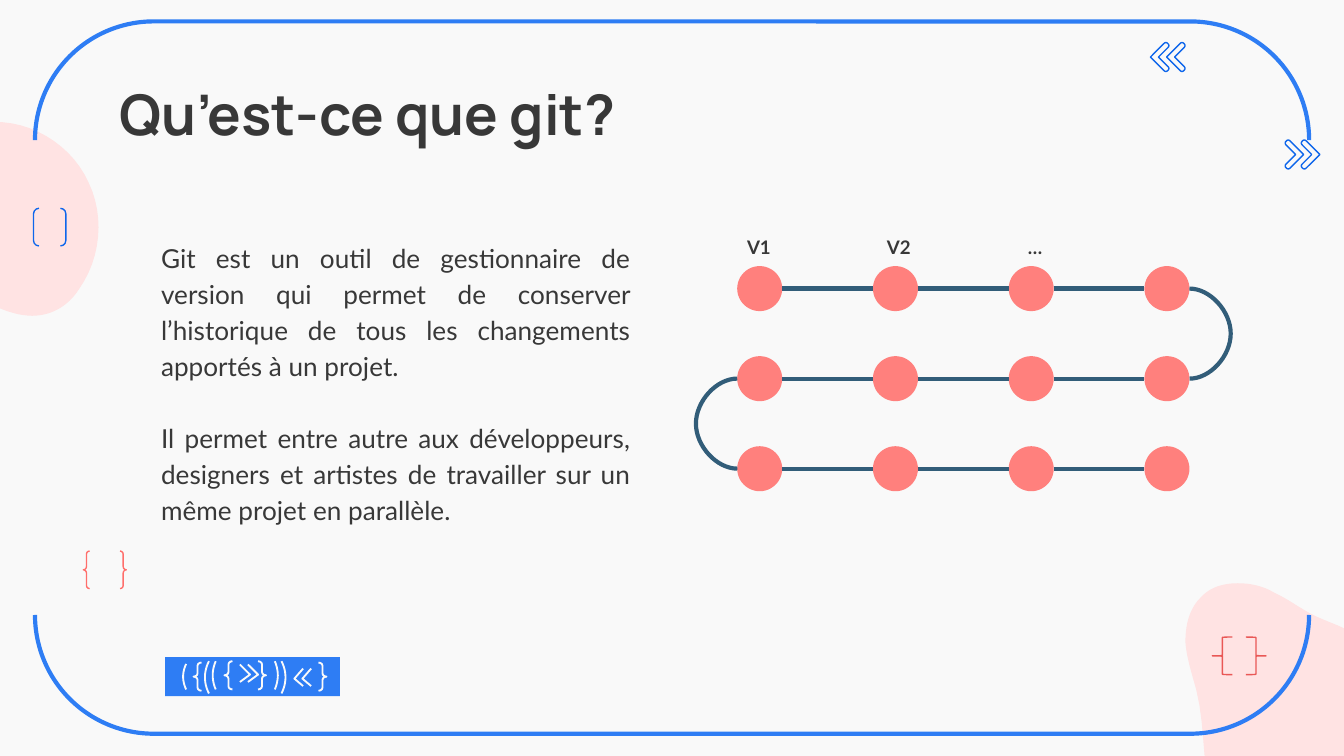
import pptx
import pptx.util
import pptx.dml.color
import pptx.enum.shapes
import pptx.enum.text
import pptx.oxml

Inches = pptx.util.Inches
Pt = pptx.util.Pt
RGBColor = pptx.dml.color.RGBColor
SHAPE = pptx.enum.shapes.MSO_SHAPE
CONNECTOR = pptx.enum.shapes.MSO_CONNECTOR

PAPER = RGBColor(0xF9, 0xF9, 0xF9)
PINK = RGBColor(0xFF, 0xE3, 0xE3)
BLUE = RGBColor(0x2E, 0x7D, 0xF4)
DEEP_BLUE = RGBColor(0x0E, 0x66, 0xEB)
RED = RGBColor(0xE9, 0x58, 0x56)
CORAL = RGBColor(0xFF, 0x6E, 0x6B)
SALMON = RGBColor(0xFF, 0x80, 0x7D)
TEAL = RGBColor(0x32, 0x5D, 0x79)
INK = RGBColor(0x38, 0x38, 0x38)

presentation = pptx.Presentation()
presentation.slide_width = Inches(10)
presentation.slide_height = Inches(5.625)
slide = presentation.slides.add_slide(presentation.slide_layouts[6])
slide.background.fill.solid()
slide.background.fill.fore_color.rgb = PAPER


def style(shape, fill=None, line=None, width=0.75):
    shape.shadow.inherit = False
    if fill is None:
        shape.fill.background()
    else:
        shape.fill.solid()
        shape.fill.fore_color.rgb = fill
    if line is None:
        shape.line.fill.background()
    else:
        shape.line.color.rgb = line
        shape.line.width = Pt(width)


def add_outline(start, curves, closed=True):
    """Trace straight steps (one point) and cubic curves (three points)."""
    builder = slide.shapes.build_freeform(Inches(start[0]), Inches(start[1]))
    points = []
    here = start
    for curve in curves:
        if len(curve) == 2:
            points.append(curve)
        else:
            corners = [here, curve[0:2], curve[2:4], curve[4:6]]
            for step in range(1, 13):
                t = step / 12
                weights = [(1 - t) ** 3, 3 * t * (1 - t) ** 2, 3 * t * t * (1 - t), t ** 3]
                points.append([sum(w * c[axis] for w, c in zip(weights, corners)) for axis in (0, 1)])
        here = curve[-2:]
    builder.add_line_segments([(Inches(x), Inches(y)) for x, y in points], close=closed)
    return builder.convert_to_shape()


# Pink blobs
left_blob = [
    (-0.07, 0.91, -0.11, 0.91, -0.16, 0.92), (-0.44, 0.98, -0.72, 1.2, -0.74, 1.49),
    (-0.76, 1.8, -0.4, 2.06, -0.17, 2.21), (-0.03, 2.29, 0.11, 2.35, 0.24, 2.35),
    (0.37, 2.35, 0.5, 2.29, 0.59, 2.15), (0.75, 1.92, 0.78, 1.61, 0.66, 1.36),
    (0.55, 1.11, 0.29, 0.93, 0.02, 0.91)]
right_blob = [
    (9.1, 4.34, 9, 4.37, 8.93, 4.45), (8.84, 4.54, 8.82, 4.67, 8.82, 4.78),
    (8.83, 4.9, 8.87, 5.02, 8.9, 5.13), (9.02, 5.58, 8.85, 6.28, 9.48, 6.4),
    (9.53, 6.41, 9.58, 6.41, 9.63, 6.41), (10.17, 6.41, 10.48, 5.8, 10.41, 5.29),
    (10.38, 5.14, 10.33, 5, 10.24, 4.88), (10.17, 4.79, 10.1, 4.73, 10.01, 4.68),
    (9.93, 4.64, 9.83, 4.61, 9.74, 4.56), (9.65, 4.51, 9.57, 4.45, 9.48, 4.41),
    (9.4, 4.36, 9.3, 4.34, 9.21, 4.34)]
style(add_outline((-0.02, 0.91), left_blob), PINK)
style(add_outline((9.21, 4.34), right_blob), PINK)

# Frame, code brackets, and the blue banner with its braces
marks = [
    (SHAPE.DOUBLE_BRACKET, 0.25, 1.55, 0.24, 0.28, None, DEEP_BLUE, 0.75, None),
    (SHAPE.LEFT_BRACE, 9.02, 4.74, 0.15, 0.28, None, RED, 0.75, 0.02),
    (SHAPE.RIGHT_BRACE, 9.27, 4.74, 0.15, 0.28, None, RED, 0.75, 0.02),
    (SHAPE.DOUBLE_BRACKET, 2.35, -1.93, 5.3, 9.48, None, BLUE, 2.25, None),
    (SHAPE.DOUBLE_BRACE, 0.62, 4.1, 0.32, 0.28, None, CORAL, 0.75, None),
    (SHAPE.RECTANGLE, 1.23, 4.89, 1.3, 0.29, BLUE, None, 0, None),
    (SHAPE.LEFT_BRACE, 1.44, 4.93, 0.06, 0.21, None, PAPER, 1, 0.4),
    (SHAPE.LEFT_BRACE, 1.67, 4.92, 0.06, 0.21, None, PAPER, 1, 0.4),
    (SHAPE.RIGHT_BRACE, 1.92, 4.92, 0.06, 0.21, None, PAPER, 1, 0.4),
    (SHAPE.RIGHT_BRACE, 2.37, 4.93, 0.06, 0.21, None, PAPER, 1, 0.4),
]
for kind, left, top, width, height, fill, line, weight, bend in marks:
    mark = slide.shapes.add_shape(kind, Inches(left), Inches(top), Inches(width), Inches(height))
    style(mark, fill, line, weight)
    if bend is not None:
        mark.adjustments[0] = bend
    if line == BLUE:
        mark.rotation = 90

# Outlined chevrons: tip, then direction of the arms
for tip_x, tip_y, way in [(8.56, 0.425, 1), (8.68, 0.425, 1), (9.82, 1.15, -1), (9.7, 1.15, -1)]:
    upper = [(0.1, -0.1), (0.11, -0.11, 0.12, -0.11, 0.13, -0.1),
             (0.14, -0.09, 0.14, -0.08, 0.13, -0.07), (0.06, 0)]
    lower = [(0.13, 0.07), (0.14, 0.08, 0.14, 0.09, 0.13, 0.1),
             (0.12, 0.11, 0.11, 0.11, 0.1, 0.1)]
    curves = [[tip_y + value if index % 2 else tip_x + way * value
               for index, value in enumerate(curve)] for curve in upper + lower]
    style(add_outline((tip_x, tip_y), curves), PAPER, DEEP_BLUE)

# Banner parentheses: end x, top, height, bulge
for x, top, height, bulge in [(1.385, 4.94, 0.19, -0.03), (1.555, 4.92, 0.24, -0.04),
                              (1.605, 4.92, 0.21, -0.03), (2.045, 4.92, 0.21, 0.03),
                              (2.095, 4.92, 0.24, 0.04)]:
    arc = (x + bulge, top + height / 3, x + bulge, top + height * 2 / 3, x, top + height)
    style(add_outline((x, top), [arc], closed=False), None, PAPER, 1)

# Banner chevrons: arm end x, tip x, top
for arm_x, tip_x, top in [(1.785, 1.86, 4.945), (1.845, 1.92, 4.945),
                          (2.255, 2.19, 4.975), (2.315, 2.25, 4.975)]:
    arms = [(tip_x, top + 0.075), (arm_x, top + 0.13)]
    style(add_outline((arm_x, top), arms, closed=False), None, PAPER, 1)

# Version graph: straight links along rows, curved links between rows
FIRST_X, FIRST_Y, STEP_X, STEP_Y, DOT = 5.485, 1.98, 1.01, 0.67, 0.335
links = []
for row in range(3):
    top = FIRST_Y + row * STEP_Y
    middle = top + DOT / 2
    for column in range(4):
        left = FIRST_X + column * STEP_X
        dot = slide.shapes.add_shape(SHAPE.OVAL, Inches(left), Inches(top), Inches(DOT), Inches(DOT))
        style(dot, SALMON)
        if column < 3:
            links.append((CONNECTOR.STRAIGHT, left + DOT, middle, left + STEP_X, middle, None))
last_x = FIRST_X + 3 * STEP_X + DOT
for edge_x, row, bulge in [(last_x, 0, 0.26), (FIRST_X, 1, -0.26)]:
    middle = FIRST_Y + row * STEP_Y + DOT / 2
    links.append((CONNECTOR.CURVE, edge_x, middle, edge_x + 0.001, middle + STEP_Y, bulge / 0.001))
for kind, x1, y1, x2, y2, bend in links:
    link = slide.shapes.add_connector(kind, Inches(x1), Inches(y1), Inches(x2), Inches(y2))
    link.line.color.rgb = TEAL
    link.line.width = Pt(2.25)
    properties = link._element.spPr
    properties.append(properties.makeelement(pptx.oxml.ns.qn("a:effectLst"), {}))
    if bend is not None:
        guides = properties.prstGeom.get_or_add_avLst()
        guide = guides.makeelement(pptx.oxml.ns.qn("a:gd"),
                                   {"name": "adj1", "fmla": f"val {round(bend * 100000)}"})
        guides.append(guide)

# Title, body and version labels
texts = [
    (0.79, 0.49, 8.43, 0.63, "Manrope", 30, True, ["Qu’est-ce que git?"]),
    (1.1, 1.67, 3.69, 2.27, "Lato", 14, False, [
        "Git est un outil de gestionnaire de version qui permet de conserver "
        "l’historique de tous les changements apportés à un projet.",
        "Il permet entre autre aux développeurs, designers et artistes de "
        "travailler sur un même projet en parallèle."]),
    (5.46, 1.67, 4.49, 0.37, "Lato", 10, True, ["V1\tV2\t…"]),
]
for left, top, width, height, font, size, bold, lines in texts:
    box = slide.shapes.add_textbox(Inches(left), Inches(top), Inches(width), Inches(height))
    frame = box.text_frame
    frame.word_wrap = True
    frame.margin_left = frame.margin_right = Inches(0.1)
    frame.margin_top = frame.margin_bottom = Inches(0.1)
    for index, line in enumerate(lines):
        paragraph = frame.paragraphs[0] if index == 0 else frame.add_paragraph()
        if len(lines) > 1:
            paragraph.alignment = pptx.enum.text.PP_ALIGN.JUSTIFY
            paragraph.line_spacing = 1.15
        if index > 0:
            paragraph.space_before = Pt(19.3)
        if "\t" in line:
            tabs = pptx.oxml.parse_xml(
                '<a:tabLst xmlns:a="http://schemas.openxmlformats.org/drawingml/2006/main">'
                f'<a:tab pos="{Inches(1.04)}" algn="l"/><a:tab pos="{Inches(2.09)}" algn="l"/></a:tabLst>')
            paragraph._p.get_or_add_pPr().append(tabs)
        run = paragraph.add_run()
        run.text = line
        run.font.name = font
        run.font.size = Pt(size)
        run.font.bold = bold
        run.font.color.rgb = INK

presentation.save("out.pptx")
